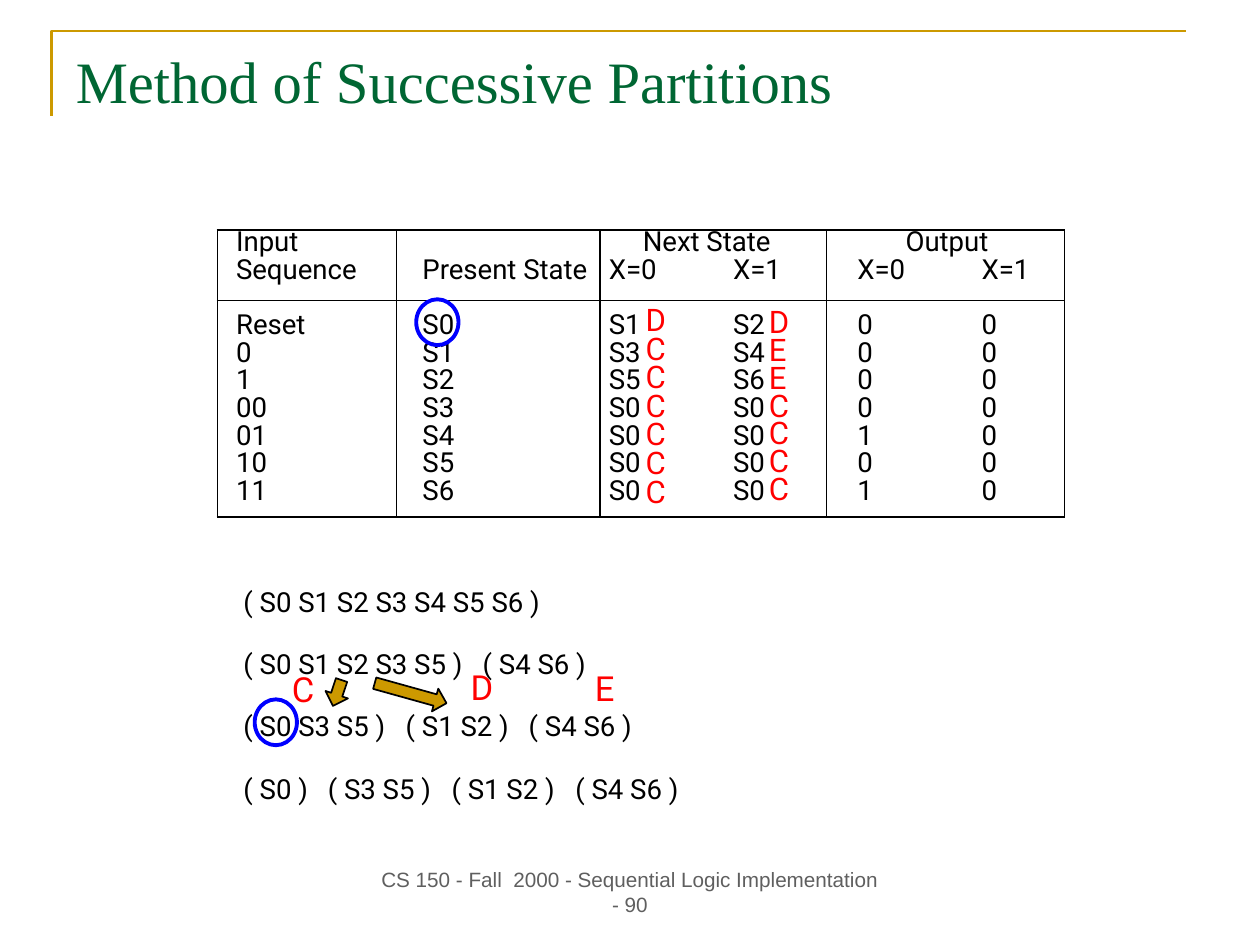
from lxml.etree import SubElement
from pptx import Presentation
from pptx.dml.color import RGBColor
from pptx.enum.shapes import MSO_SHAPE
from pptx.enum.text import MSO_ANCHOR, PP_ALIGN
from pptx.oxml.ns import qn
from pptx.util import Pt

BLACK, RED, BLUE, GOLD = "000000", "FF0000", "0000FF", "CC9900"
GREEN, GREY = "006633", "5F5F5F"
NO_STYLE = "{2D5ABB26-0587-4C30-8999-92F81FD0307C}"
COLUMN_EDGES = [126, 229.7, 347.8, 419.8, 478.8, 563.8, 617]
TEXT_STARTS = [136.8, 244.8, 352.8, 424.8, 496.8, 568.8]
GROUP_STARTS = {2: 372.5, 4: 524.8}
ROW_HEIGHTS = [16.7, 24.3, 23.7, 16, 16, 16, 16, 16, 21.6]
STATE_ROWS = [
    ["Input", "", "Next State", "", "Output", ""],
    ["Sequence", "Present State", "X=0", "X=1", "X=0", "X=1"],
    ["Reset", "S0", "S1", "S2", "0", "0"],
    ["0", "S1", "S3", "S4", "0", "0"],
    ["1", "S2", "S5", "S6", "0", "0"],
    ["00", "S3", "S0", "S0", "0", "0"],
    ["01", "S4", "S0", "S0", "1", "0"],
    ["10", "S5", "S0", "S0", "0", "0"],
    ["11", "S6", "S0", "S0", "1", "0"],
]
PARTITIONS = [
    (["( S0 S1 S2 S3 S4 S5 S6 )"], []),
    (["( S0 S1 S2 S3 S5 )", "( S4 S6 )"], [138.6]),
    (["( S0 S3 S5 )", "( S1 S2 )", "( S4 S6 )"], [94, 165.3]),
    (["( S0 )", "( S3 S5 )", "( S1 S2 )", "( S4 S6 )"], [48.9, 120.6, 192.3]),
]


def color(hex_string):
    """Turn a hex string into a colour."""
    return RGBColor.from_string(hex_string)


def add_run(paragraph, text, size, hex_string=BLACK, font_name="Roboto"):
    """Append one formatted run to a paragraph."""
    run = paragraph.add_run()
    run.text = text
    run.font.size = Pt(size)
    run.font.name = font_name
    run.font.color.rgb = color(hex_string)


def set_margins(target, left, top, right, bottom):
    """Set the four inner margins of a text frame or cell."""
    target.margin_left, target.margin_top = Pt(left), Pt(top)
    target.margin_right, target.margin_bottom = Pt(right), Pt(bottom)


def add_text_frame(slide, left, top, width, height):
    """Add a wrapping text box and return its text frame."""
    box = slide.shapes.add_textbox(Pt(left), Pt(top), Pt(width), Pt(height))
    box.text_frame.word_wrap = True
    return box.text_frame


def style_outline(shape, hex_string, width, fill=None):
    """Give a shape a line, an optional fill and no shadow."""
    shape.shadow.inherit = False
    shape.line.color.rgb = color(hex_string)
    shape.line.width = Pt(width)
    if fill:
        shape.fill.solid()
        shape.fill.fore_color.rgb = color(fill)
    else:
        shape.fill.background()


def add_corner_rule(slide):
    """Draw the gold rule along the left and top of the title."""
    builder = slide.shapes.build_freeform(30.4, 66.8, scale=Pt(1))
    builder.add_line_segments([(30.4, 18.2), (687.4, 18.2)], close=False)
    style_outline(builder.convert_to_shape(), GOLD, 1.5)


def add_title(slide, text):
    """Place and format the title."""
    title = slide.shapes.title
    title.left, title.top = Pt(36.7), Pt(22.3)
    title.width, title.height = Pt(656.6), Pt(90.7)
    title.text_frame.vertical_anchor = MSO_ANCHOR.TOP
    paragraph = title.text_frame.paragraphs[0]
    paragraph.alignment = PP_ALIGN.LEFT
    add_run(paragraph, text, 34, GREEN, "Times New Roman")


def add_footer(slide, text):
    """Add the centred footer."""
    frame = add_text_frame(slide, 213.1, 498.2, 303.8, 36.7)
    frame.vertical_anchor = MSO_ANCHOR.BOTTOM
    frame.paragraphs[0].alignment = PP_ALIGN.CENTER
    add_run(frame.paragraphs[0], text, 12, GREY, "Arial")


def add_borders(cell, row, column):
    """Rule the table's outer edges, main columns and header; clear other sides."""
    ruled = {
        "L": column in (0, 1, 2, 4),
        "R": column in (0, 1, 3, 5) or (row == 0 and column in GROUP_STARTS),
        "T": row in (0, 2),
        "B": row in (1, 8),
    }
    properties = cell._tc.get_or_add_tcPr()
    for side, is_ruled in ruled.items():
        line = SubElement(properties, qn(f"a:ln{side}"), w=str(Pt(1) if is_ruled else 0))
        if is_ruled:
            fill = SubElement(line, qn("a:solidFill"))
            SubElement(fill, qn("a:srgbClr"), val=BLACK)
        else:
            SubElement(line, qn("a:noFill"))


def fill_cell(cell, row, column, text):
    """Write and format one cell of the state table."""
    start = TEXT_STARTS[column]
    if row == 0:
        start = GROUP_STARTS.get(column, start)
    set_margins(cell, start - COLUMN_EDGES[column], 0, 0, 0)
    cell.vertical_anchor = MSO_ANCHOR.BOTTOM if row in (0, 2) else MSO_ANCHOR.TOP
    add_borders(cell, row, column)
    cell.fill.background()
    paragraph = cell.text_frame.paragraphs[0]
    if text:
        paragraph.line_spacing = Pt(16)
        add_run(paragraph, text, 16)
    else:
        SubElement(paragraph._p, qn("a:endParaRPr"), sz="800")


def add_state_table(slide):
    """Add the state transition table."""
    left, right = COLUMN_EDGES[0], COLUMN_EDGES[-1]
    table = slide.shapes.add_table(
        len(STATE_ROWS), len(TEXT_STARTS),
        Pt(left), Pt(133.2), Pt(right - left), Pt(sum(ROW_HEIGHTS)),
    ).table
    table.first_row = table.horz_banding = False
    table._tbl.tblPr.find(qn("a:tableStyleId")).text = NO_STYLE
    for column, start, end in zip(table.columns, COLUMN_EDGES, COLUMN_EDGES[1:]):
        column.width = Pt(end - start)
    for row, height in zip(table.rows, ROW_HEIGHTS):
        row.height = Pt(height)
    for row, texts in enumerate(STATE_ROWS):
        for column, text in enumerate(texts):
            fill_cell(table.cell(row, column), row, column, text)
    for column in GROUP_STARTS:
        table.cell(0, column).merge(table.cell(0, column + 1))


def add_partitions(slide):
    """Add the successive partitions, with groups set on tab stops."""
    frame = add_text_frame(slide, 139.7, 326.2, 440.6, 169.9)
    set_margins(frame, 1.4, 2.2, 1.4, 2.2)
    for index, (groups, stops) in enumerate(PARTITIONS):
        paragraph = frame.add_paragraph() if index else frame.paragraphs[0]
        if stops:
            tabs = SubElement(paragraph._p.get_or_add_pPr(), qn("a:tabLst"))
            for stop in stops:
                SubElement(tabs, qn("a:tab"), pos=str(Pt(stop)), algn="l")
        paragraph.line_spacing = Pt(30)
        if index:
            paragraph.space_before = Pt(6)
        add_run(paragraph, "\t".join(groups), 16)


def add_block_letter(slide, letter, left, top, size):
    """Add a red letter that names a partition block."""
    frame = add_text_frame(slide, left, top, 28, 30)
    add_run(frame.paragraphs[0], letter, size, RED)


def add_arrow(slide, left, top, height, rotation):
    """Add a rotated gold arrow."""
    arrow = slide.shapes.add_shape(
        MSO_SHAPE.DOWN_ARROW, Pt(left), Pt(top), Pt(13.7), Pt(height))
    arrow.rotation = rotation
    style_outline(arrow, BLACK, 1, GOLD)


def add_ring(slide, left, top):
    """Circle a state in blue."""
    ring = slide.shapes.add_shape(
        MSO_SHAPE.OVAL, Pt(left), Pt(top), Pt(24.5), Pt(26.6))
    style_outline(ring, BLUE, 2.25)


def main():
    """Build and save the slide."""
    presentation = Presentation()
    presentation.slide_width, presentation.slide_height = Pt(730.1), Pt(547.2)
    slide = presentation.slides.add_slide(presentation.slide_layouts[5])
    add_corner_rule(slide)
    add_title(slide, "Method of Successive Partitions")
    add_footer(slide, "CS 150 - Fall  2000 - Sequential Logic Implementation - 90")
    add_partitions(slide)
    add_state_table(slide)
    add_arrow(slide, 188.6, 393.8, 15.8, 18.5)
    add_arrow(slide, 231.1, 380.2, 43.2, 285.6)
    for letter, left, top in [("C", 162, 383.8), ("D", 265.7, 382.3), ("E", 337.7, 383)]:
        add_block_letter(slide, letter, left, top, 20)
    for letters, left, top, pitch in [
            ("DCCCCCC", 367, 170.8, 16.55), ("DEECCCC", 438.5, 172, 16.1)]:
        for index, letter in enumerate(letters):
            add_block_letter(slide, letter, left, top + index * pitch, 18)
    add_ring(slide, 147.6, 405.4)
    add_ring(slide, 241.2, 173.5)
    presentation.save("out.pptx")


if __name__ == "__main__":
    main()
